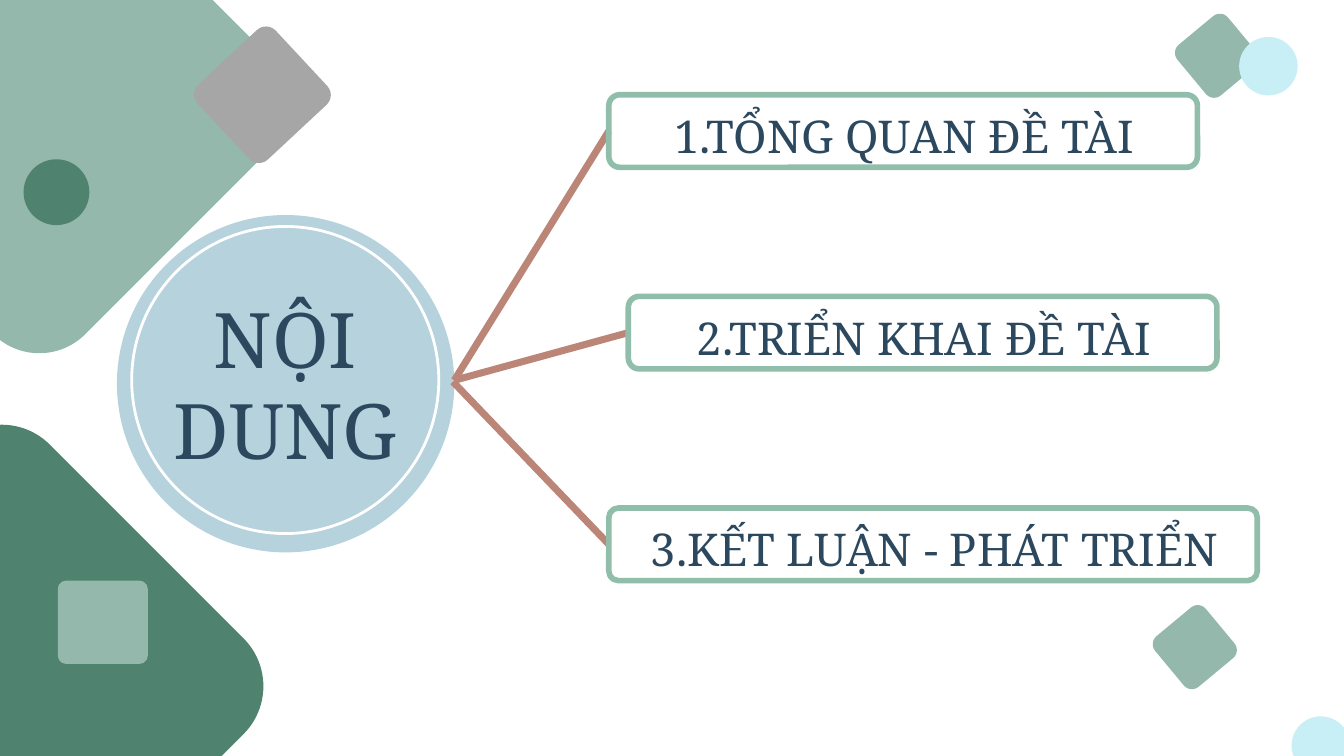
from dataclasses import dataclass

from lxml.etree import SubElement
from pptx import Presentation
from pptx.dml.color import RGBColor
from pptx.enum.shapes import MSO_CONNECTOR, MSO_SHAPE
from pptx.enum.text import MSO_ANCHOR, MSO_AUTO_SIZE, PP_ALIGN
from pptx.oxml.ns import qn
from pptx.util import Inches, Pt

COLORS = {
    "navy": "2B485F", "blue": "B5D2DD", "white": "FFFFFF", "rust": "BB8578",
    "mint": "90BEAB", "sage": "94B8AB", "pine": "4F826F", "gray": "A6A6A6",
    "ice": "C9EFF6",
}
OVAL, ROUND = MSO_SHAPE.OVAL, MSO_SHAPE.ROUNDED_RECTANGLE
PILL_H = 1.08


@dataclass
class Form:
    kind: MSO_SHAPE
    box: tuple[float, float, float, float]
    fill: str | None = None
    line: str | None = None
    width: float = 0
    turn: float = 0
    curve: float = 0


@dataclass
class Item:
    text: str
    left: float
    top: float
    width: float
    start: tuple[float, float]
    inset: float = 0.32
    curve: float = 0.15


HUB = [
    Form(OVAL, (1.74, 3.2, 5.02, 5.02), "blue"),
    Form(OVAL, (1.96, 3.37, 4.57, 4.57), None, "white", 3),
]
ITEMS = [
    Item("1.TỔNG QUAN ĐỀ TÀI", 9.06, 1.41, 8.76, (6.76, 5.66)),
    Item("2.TRIỂN KHAI ĐỀ TÀI", 9.35, 4.41, 8.76, (6.76, 5.66)),
    Item("3.KẾT LUẬN - PHÁT TRIỂN", 9.06, 7.56, 9.65, (6.74, 5.68), 0.35, 0.13),
]
DECOR = [
    Form(ROUND, (-2.55, 7.03, 5.51, 6.01), "pine", "pine", 6, 315, 0.175),
    Form(ROUND, (-2.24, -1.22, 5.74, 5.61), "sage", "sage", 6, 315, 0.165),
    Form(OVAL, (0.35, 2.37, 0.98, 0.98), "pine"),
    Form(ROUND, (3.11, 0.65, 1.59, 1.52), "gray", turn=137, curve=0.13),
    Form(ROUND, (0.86, 8.64, 1.34, 1.24), "sage", curve=0.1),
    Form(ROUND, (17.29, 9.14, 0.98, 0.98), "sage", turn=320.3, curve=0.16),
    Form(ROUND, (17.62, 0.34, 0.98, 0.98), "sage", turn=320.3, curve=0.16),
    Form(OVAL, (19.22, 10.66, 0.87, 0.87), "ice"),
    Form(OVAL, (18.44, 0.55, 0.87, 0.87), "ice"),
]


def rgb(name: str) -> RGBColor:
    return RGBColor.from_string(COLORS[name])


def apply(target, values: dict) -> None:
    for name, value in values.items():
        setattr(target, name, value)


def draw(slide, form: Form):
    shape = slide.shapes.add_shape(form.kind, *map(Inches, form.box))
    shape.shadow.inherit = False
    shape.rotation = form.turn
    if form.kind == ROUND:
        shape.adjustments[0] = form.curve
    if form.fill:
        shape.fill.solid()
        shape.fill.fore_color.rgb = rgb(form.fill)
    else:
        shape.fill.background()
    if form.line:
        shape.line.color.rgb = rgb(form.line)
        shape.line.width = Pt(form.width)
    else:
        shape.line.fill.background()
    return shape


def write(shape, text: str, size: float, space: float, anchor: MSO_ANCHOR) -> None:
    frame = shape.text_frame
    apply(frame, {
        "word_wrap": True, "auto_size": MSO_AUTO_SIZE.NONE,
        "vertical_anchor": anchor, "margin_left": 0, "margin_right": 0,
        "margin_top": 0, "margin_bottom": 0, "text": text,
    })
    para = frame.paragraphs[0]
    apply(para, {"alignment": PP_ALIGN.CENTER, "line_spacing": Pt(space)})
    font = para.runs[0].font
    apply(font, {"name": "Noto Serif", "size": Pt(size)})
    font.color.rgb = rgb("navy")


def branch(slide, item: Item):
    ends = (*item.start, item.left, item.top + PILL_H / 2)
    line = slide.shapes.add_connector(MSO_CONNECTOR.STRAIGHT, *map(Inches, ends))
    line.line.color.rgb = rgb("rust")
    line.line.width = Pt(7.5)
    SubElement(line.element.spPr, qn("a:effectLst"))
    return line


def pill(slide, item: Item):
    box = (item.left, item.top, item.width, PILL_H)
    shape = draw(slide, Form(ROUND, box, None, "mint", 6, 0, item.curve))
    area = (item.left + item.inset, item.top + 0.07,
            item.width - 2 * item.inset + 0.04, 0.87)
    label = slide.shapes.add_textbox(*map(Inches, area))
    write(label, item.text, 48.4, 67.8, MSO_ANCHOR.TOP)
    return shape


def main() -> None:
    deck = Presentation()
    deck.slide_width, deck.slide_height = Inches(20), Inches(11.25)
    slide = deck.slides.add_slide(deck.slide_layouts[5])

    # Hub circle, with the title in front of it
    for form in HUB:
        draw(slide, form)
    title = slide.shapes.title
    apply(title, {"left": Inches(2.39), "top": Inches(3.91),
                  "width": Inches(3.71), "height": Inches(3.61)})
    write(title, "NỘI DUNG", 82, 96.8, MSO_ANCHOR.MIDDLE)
    slide.shapes.element.append(title.element)

    # Branches lie behind the pills they join
    lines = [branch(slide, item) for item in ITEMS]
    for line, item in zip(lines, ITEMS):
        line.end_connect(pill(slide, item), 1)

    # Corner decoration
    for form in DECOR:
        draw(slide, form)

    deck.save("out.pptx")


if __name__ == "__main__":
    main()
